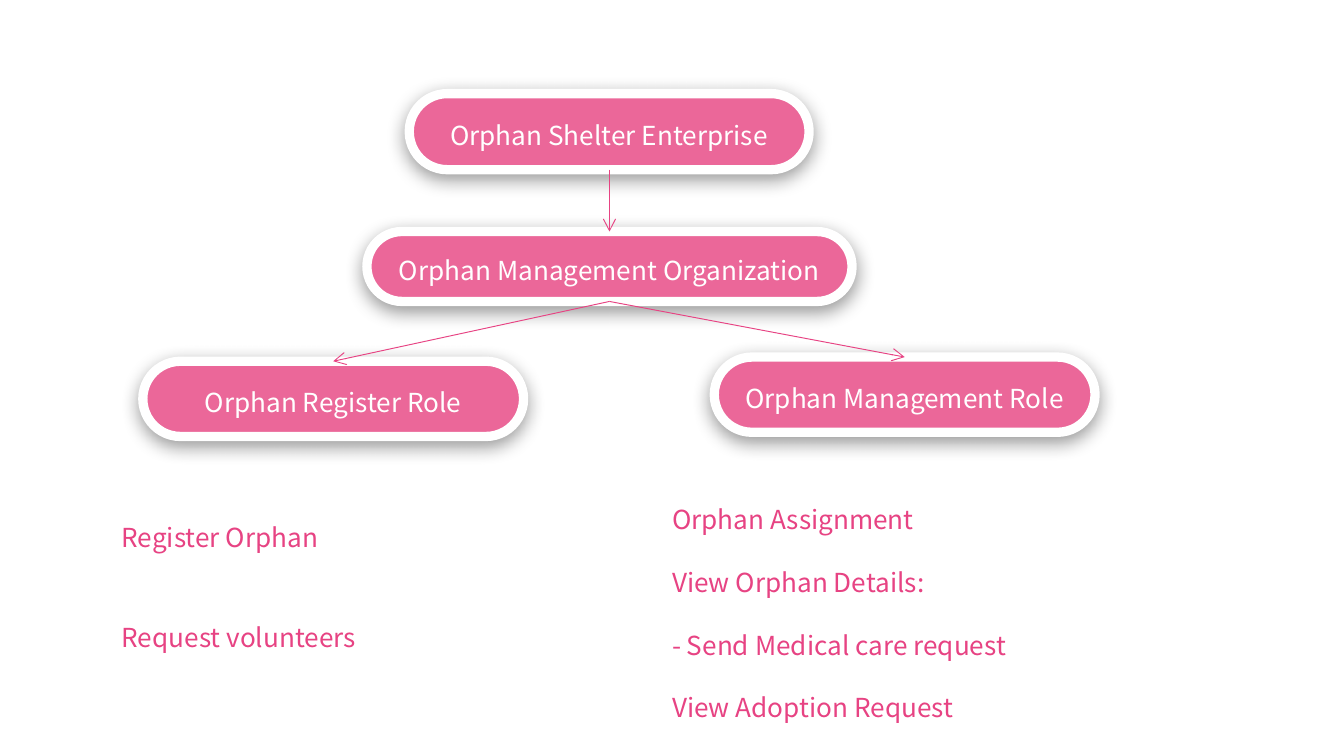
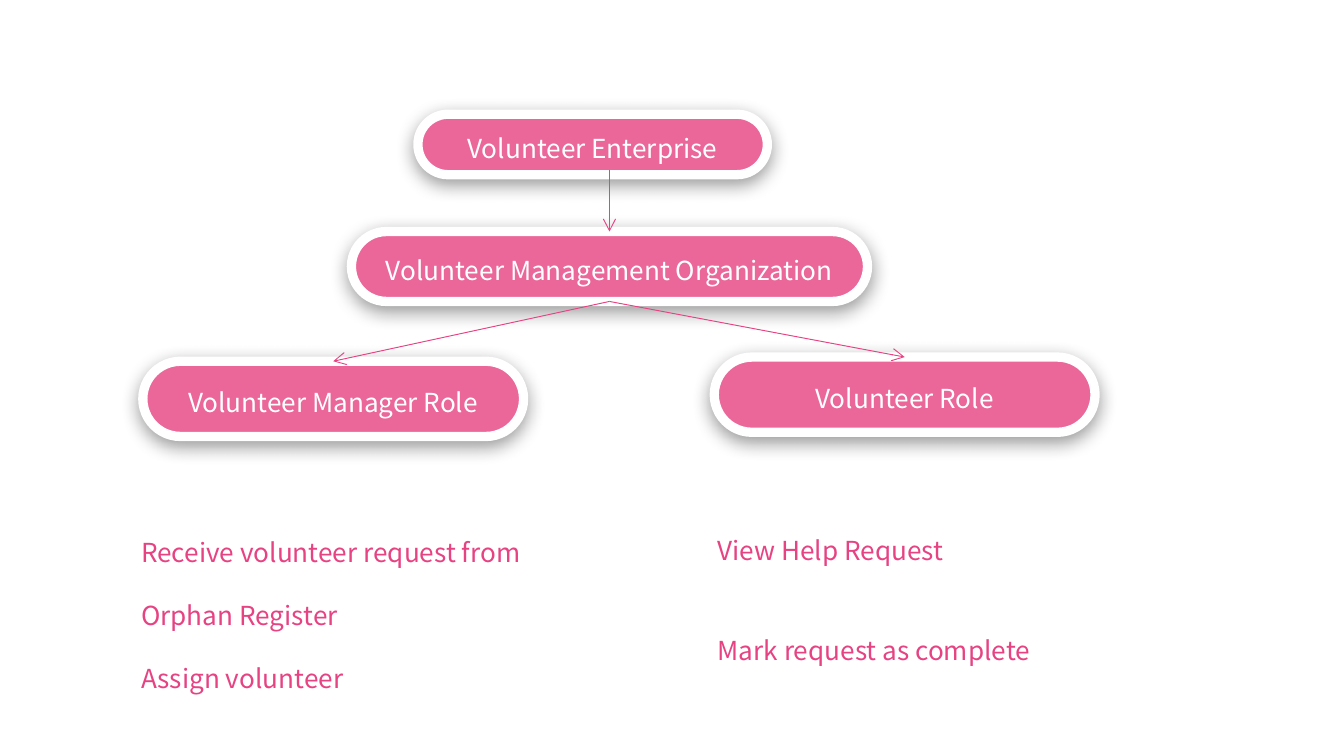
import pptx
import pptx.util
import pptx.dml.color
import pptx.enum.shapes
import pptx.enum.text
import pptx.oxml.ns
import lxml.etree

RGB = pptx.dml.color.RGBColor
WHITE = RGB(0xFF, 0xFF, 0xFF)
PINK = RGB(0xEB, 0x67, 0x99)
ROSE = RGB(0xE7, 0x43, 0x83)
BLACK = RGB(0, 0, 0)
FONT = "Noto Sans CJK SC"
SIZE = pptx.util.Pt(14)

# Slide of 16 to 9 on a square grid, 100 columns across
WIDE = pptx.util.Inches(10)
HIGH = WIDE * 9 // 16
UNIT = WIDE / 100
TALL = pptx.util.Pt(53.4)

# Places that both slides share: left, top, width, height
LEFT = (10.63, 26.88, 28.33, 5.6)
RIGHT = (53.15, 26.57, 28.33, 5.6)
ORG_TOP, ORG_HIGH = 17.23, 5.2
MID, STEM = 45.35, 12.63


def grid(*cells):
    return [round(cell * UNIT) for cell in cells]


def node(root, tag, **attrs):
    return lxml.etree.SubElement(root, pptx.oxml.ns.qn(tag), attrs)


def write(para, text, color, gap):
    """Add one run to a paragraph with the given line spacing."""
    para.line_spacing = gap
    run = para.add_run()
    run.text = text
    run.font.name = FONT
    run.font.size = SIZE
    run.font.color.rgb = color


def shade(shape):
    """Give a shape a soft shadow straight below it."""
    shape.shadow.inherit = False
    root = shape._element.spPr.find(pptx.oxml.ns.qn("a:effectLst"))
    cast = node(root, "a:outerShdw", blurRad=str(pptx.util.Pt(10)),
                dist=str(pptx.util.Pt(3)), dir="5400000",
                algn="ctr", rotWithShape="0")
    tint = node(cast, "a:srgbClr", val=str(BLACK))
    node(tint, "a:alpha", val="40000")


def pill(slide, place, text):
    """Draw a rounded box of the chart."""
    shape = slide.shapes.add_shape(
        pptx.enum.shapes.MSO_SHAPE.ROUNDED_RECTANGLE, *grid(*place))
    shape.adjustments[0] = 0.5
    shape.fill.solid()
    shape.fill.fore_color.rgb = PINK
    shape.line.color.rgb = WHITE
    shape.line.width = pptx.util.Pt(5)
    shade(shape)
    frame = shape.text_frame
    frame.word_wrap = True
    frame.vertical_anchor = pptx.enum.text.MSO_ANCHOR.MIDDLE
    frame.margin_left = frame.margin_right = pptx.util.Inches(0.07)
    frame.margin_top = frame.margin_bottom = pptx.util.Inches(0.03)
    para = frame.paragraphs[0]
    para.alignment = pptx.enum.text.PP_ALIGN.CENTER
    write(para, text, WHITE, 1.2)


def arrow(slide, start, end):
    """Draw a thin line with an open head at its end."""
    line = slide.shapes.add_connector(
        pptx.enum.shapes.MSO_CONNECTOR.STRAIGHT, *grid(*start, *end))
    line.line.color.rgb = ROSE
    line.line.width = pptx.util.Pt(0.5)
    node(line.line._get_or_add_ln(), "a:tailEnd", type="arrow")
    node(line._element.spPr, "a:effectLst")


def tasks(slide, place, items):
    """List a role's tasks, each with its line spacing."""
    box = slide.shapes.add_textbox(*grid(*place))
    frame = box.text_frame
    frame.word_wrap = True
    frame.auto_size = pptx.enum.text.MSO_AUTO_SIZE.SHAPE_TO_FIT_TEXT
    frame.margin_left = frame.margin_right = 0
    frame.margin_top = frame.margin_bottom = 0
    for rank, (text, gap) in enumerate(items):
        para = frame.add_paragraph() if rank else frame.paragraphs[0]
        write(para, text, ROSE, gap)


def chart(deck, top, org, roles, lists):
    """Build a slide: enterprise, organization, two roles and their tasks."""
    slide = deck.slides.add_slide(deck.slide_layouts[6])
    pill(slide, *top)
    for place, items in lists:
        tasks(slide, place, items)
    width, name = org
    pill(slide, (MID - width / 2, ORG_TOP, width, ORG_HIGH), name)
    arrow(slide, (MID, STEM), (MID, ORG_TOP))
    for place, role in zip((LEFT, RIGHT), roles):
        pill(slide, place, role)
    for x, y, span, _ in (LEFT, RIGHT):
        arrow(slide, (MID, ORG_TOP + ORG_HIGH), (x + span / 2, y))


def main():
    deck = pptx.Presentation()
    deck.slide_width, deck.slide_height = WIDE, HIGH

    # Orphan shelter
    chart(deck,
          ((30.45, 6.97, 29.75, 5.66), "Orphan Shelter Enterprise"),
          (36.1, "Orphan Management Organization"),
          ("Orphan Register Role", "Orphan Management Role"),
          [((9.05, 33.7, 28.7, 14.9),
            [("Register Orphan", TALL), ("Request volunteers", TALL)]),
           ((50, 35.13, 48.8, 18.1),
            [("Orphan Assignment", 2.0),
             ("View Orphan Details:", 2.0),
             ("- Send Medical care request", 2.0),
             ("View Adoption Request", 2.0)])])

    # Volunteers
    chart(deck,
          ((31.1, 8.5, 26, 4.5), "Volunteer Enterprise"),
          (38.4, "Volunteer Management Organization"),
          ("Volunteer Manager Role", "Volunteer Role"),
          [((53.4, 37.43, 32.7, 10.8),
            [("View Help Request", 2.0),
             ("Mark request as complete", TALL)]),
           ((10.5, 37.6, 31, 13.4),
            [("Receive volunteer request from Orphan Register", 2.0),
             ("Assign volunteer", 2.0)])])

    deck.save("out.pptx")


if __name__ == "__main__":
    main()
